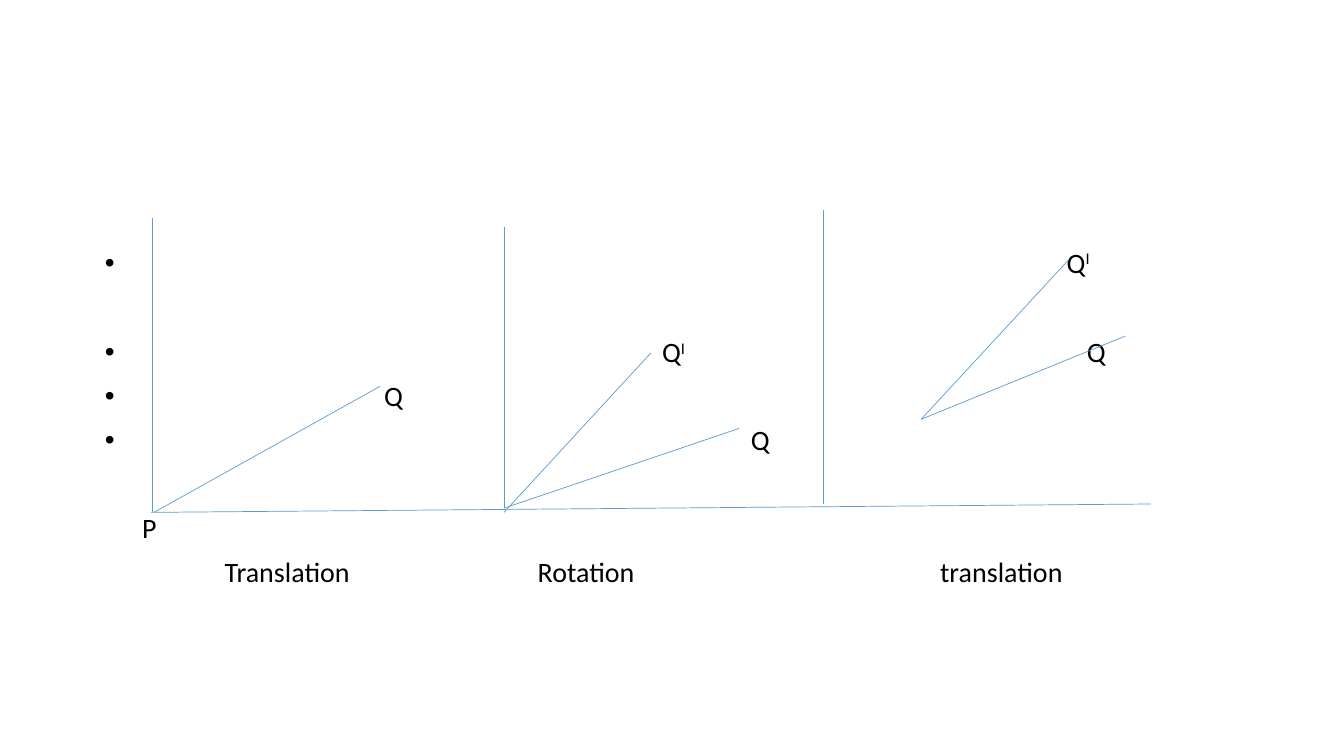
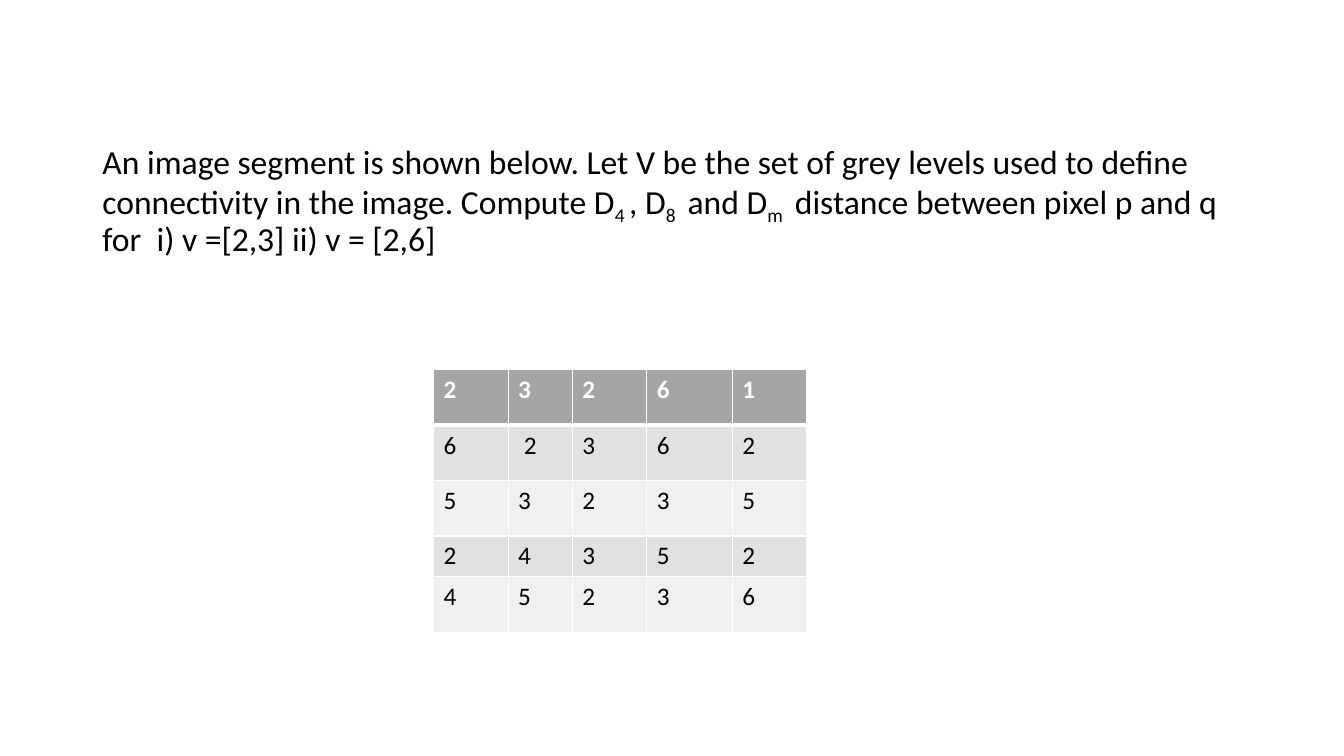
"""Build two slides: vector transformations and a pixel distance exercise."""
from lxml import etree
from pptx import Presentation
from pptx.dml.color import RGBColor
from pptx.enum.shapes import MSO_CONNECTOR
from pptx.enum.text import MSO_ANCHOR, MSO_AUTO_SIZE
from pptx.oxml.ns import qn
from pptx.util import Pt

STRAIGHT = MSO_CONNECTOR.STRAIGHT
BLACK = RGBColor(0x00, 0x00, 0x00)
WHITE = RGBColor(0xFF, 0xFF, 0xFF)
BLUE = RGBColor(0x5B, 0x9B, 0xD5)
HEADER_GREY = RGBColor(0xA5, 0xA5, 0xA5)
BAND_GREYS = (RGBColor(0xF0, 0xF0, 0xF0), RGBColor(0xE1, 0xE1, 0xE1))
FRAME = {"auto_size": MSO_AUTO_SIZE.NONE, "vertical_anchor": MSO_ANCHOR.TOP, "word_wrap": True}
NO_MARGINS = {"margin_left": 0, "margin_top": 0, "margin_right": 0, "margin_bottom": 0}


def add_body(left, top, width, height):
    slide = deck.slides.add_slide(deck.slide_layouts[1])
    title = slide.shapes.title
    title.element.getparent().remove(title.element)
    body = slide.placeholders[1]
    box = {"left": left, "top": top, "width": width, "height": height}
    for name, value in box.items():
        setattr(body, name, Pt(value))
    for name, value in FRAME.items():
        setattr(body.text_frame, name, value)
    return slide, body.text_frame


def fill_paragraph(paragraph, pieces, size, space_before=0, bullet=False, stops=()):
    properties = paragraph._p.get_or_add_pPr()
    properties.set("marL", "0")
    properties.set("indent", "0")
    if bullet:
        etree.SubElement(properties, qn("a:buChar")).set("char", "•")
    else:
        etree.SubElement(properties, qn("a:buNone"))
    if stops:
        tabs = etree.SubElement(properties, qn("a:tabLst"))
        for stop in stops:
            tab = etree.SubElement(tabs, qn("a:tab"))
            tab.set("pos", str(Pt(stop)))
            tab.set("algn", "l")
    paragraph.line_spacing = 0.9
    paragraph.space_before = Pt(space_before)
    for text, baseline in pieces:
        run = paragraph.add_run()
        run.text = text
        run.font.name = "Calibri"
        run.font.size = Pt(size)
        run.font.color.rgb = BLACK
        if baseline:
            run._r.get_or_add_rPr().set("baseline", str(baseline * 1000))


deck = Presentation()
deck.slide_width, deck.slide_height = Pt(960), Pt(540)

transform_slide, vector_labels = add_body(67.7, 174.4, 828, 170)
Q_PRIME = [("\tQ", 0), ("I", 30)]
Q = [("\tQ", 0)]
vector_rows = [
    (Q_PRIME, 0, [687]),
    (Q_PRIME + Q, 42, [398, 701.5]),
    (Q, 10, [199.5]),
    (Q, 10, [461.5]),
]
for index, (pieces, gap, stops) in enumerate(vector_rows):
    paragraph = vector_labels.add_paragraph() if index else vector_labels.paragraphs[0]
    fill_paragraph(paragraph, pieces, 20, gap, True, stops)

captions = [
    ("P", 101.5, 367.5),
    ("Translation", 160.5, 399),
    ("Rotation", 384, 399),
    ("translation", 671.5, 399),
]
for text, left, top in captions:
    caption = transform_slide.shapes.add_textbox(Pt(left), Pt(top), Pt(120), Pt(24)).text_frame
    for name, value in {**FRAME, **NO_MARGINS}.items():
        setattr(caption, name, value)
    fill_paragraph(caption.paragraphs[0], [(text, 0)], 20)

axes_and_vectors = [
    (108, 366, 822, 360),
    (108.7, 156, 108.7, 366),
    (110, 366, 271.4, 276),
    (360, 162, 360, 363),
    (360, 366, 465, 252),
    (360, 363, 528, 306),
    (588, 150, 588, 360),
    (658, 299.5, 763, 186),
    (658, 299.5, 804, 240),
]
for ends in axes_and_vectors:
    line = transform_slide.shapes.add_connector(STRAIGHT, *(Pt(value) for value in ends))
    line.line.color.rgb = BLUE
    line.line.width = Pt(0.5)
    etree.SubElement(line._element.spPr, qn("a:effectLst"))

exercise_slide, question = add_body(66, 100, 828, 384)
question_pieces = [
    ("An image segment is shown below. Let V be the set of grey levels used to define "
     "connectivity in the image. Compute D", 0),
    ("4 ", -25), (", D", 0), ("8 ", -25), (" and D", 0), ("m ", -25),
    (" distance between pixel p and q for  i) v =[2,3] ii) v = [2,6]", 0),
]
fill_paragraph(question.paragraphs[0], question_pieces, 24)

grey_levels = ["23261", "62362", "53235", "24352", "45236"]
column_widths = [53.4, 45.9, 53.2, 61, 53]
row_heights = [39.6, 39.6, 39.6, 28.8, 39.6]
segment = exercise_slide.shapes.add_table(
    len(row_heights), len(column_widths), Pt(309.6), Pt(264),
    Pt(sum(column_widths)), Pt(sum(row_heights))).table
segment.first_row = segment.horz_banding = False
for column, width in zip(segment.columns, column_widths):
    column.width = Pt(width)
for row, height in zip(segment.rows, row_heights):
    row.height = Pt(height)

for row_index, levels in enumerate(grey_levels):
    header = row_index == 0
    for column_index, level in enumerate(levels):
        cell = segment.cell(row_index, column_index)
        cell_properties = cell._tc.get_or_add_tcPr()
        for side in ("lnL", "lnR", "lnT", "lnB"):
            thick = (header and side == "lnB") or (row_index == 1 and side == "lnT")
            border = etree.SubElement(cell_properties, qn(f"a:{side}"))
            border.set("w", str(Pt(3 if thick else 1)))
            paint = etree.SubElement(border, qn("a:solidFill"))
            etree.SubElement(paint, qn("a:srgbClr")).set("val", str(WHITE))
        cell.fill.solid()
        cell.fill.fore_color.rgb = HEADER_GREY if header else BAND_GREYS[row_index % 2]
        cell.text = level
        font = cell.text_frame.paragraphs[0].runs[0].font
        look = {"name": "Calibri", "size": Pt(18), "bold": header}
        for name, value in look.items():
            setattr(font, name, value)
        font.color.rgb = WHITE if header else BLACK
segment.cell(1, 1).margin_left = Pt(11.2)

deck.save("out.pptx")
